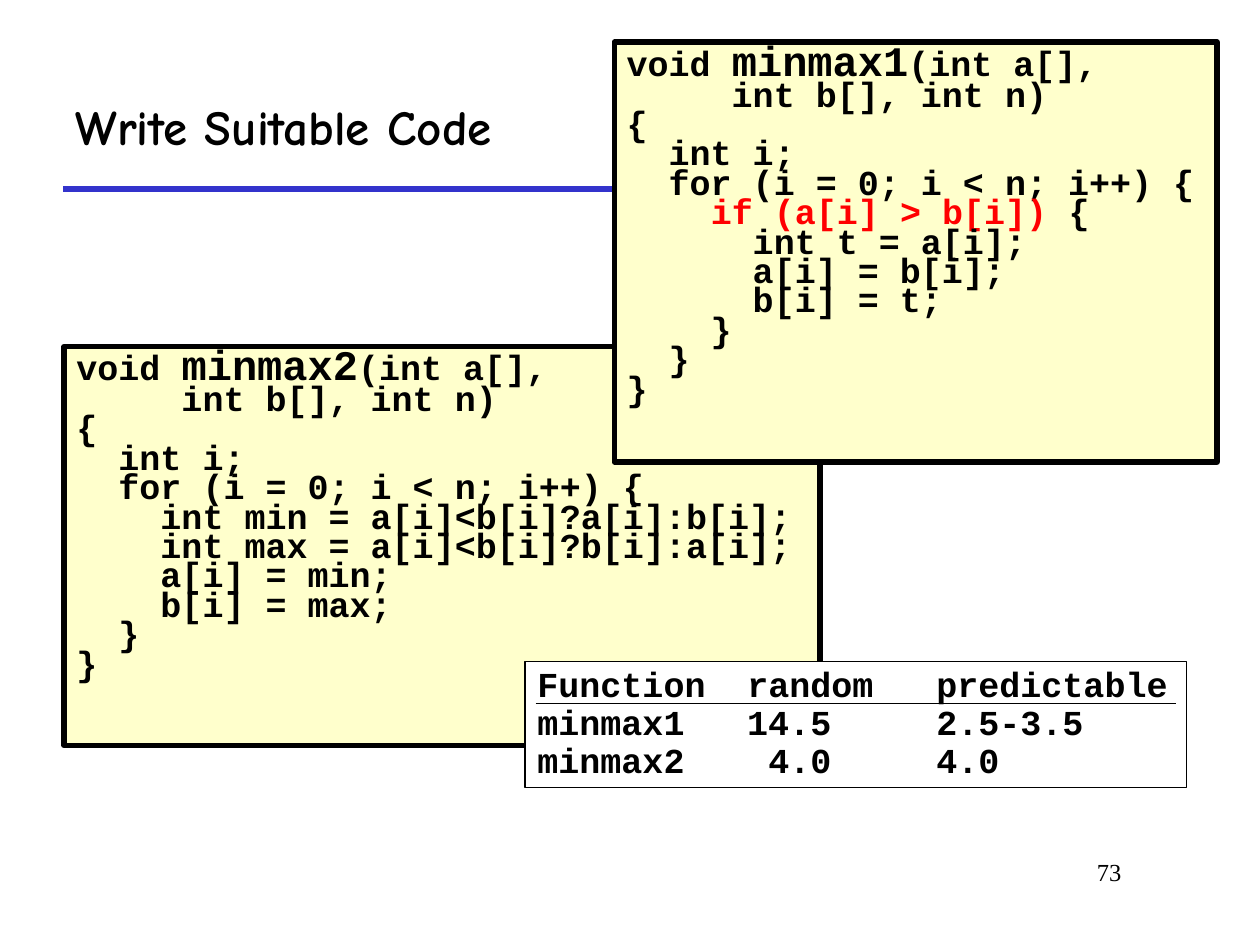
from dataclasses import dataclass

from lxml import etree
from pptx import Presentation
from pptx import util as u
from pptx.dml.color import RGBColor
from pptx.enum import shapes, text
from pptx.oxml.ns import qn

BLACK = RGBColor(0x00, 0x00, 0x00)
WHITE = RGBColor(0xFF, 0xFF, 0xFF)
RED = RGBColor(0xFF, 0x00, 0x00)
BLUE = RGBColor(0x33, 0x33, 0xCC)
CREAM = RGBColor(0xFF, 0xFF, 0xCC)

COLUMN = u.Inches(10) / 120
ROW = u.Inches(7.5) / 90
CHARACTER = 20 * 0.6 / 72  # inches taken by one 20 pt monospace character

CODE = dict(name="Courier New", size=u.Pt(20), bold=True, color=BLACK)
FUNCTION_NAME = CODE | dict(size=u.Pt(24))
HIGHLIGHT = CODE | dict(color=RED)
TITLE = dict(name="Comic Neue", size=u.Pt(28), bold=True, color=BLACK)
NUMBER = dict(name="Times New Roman", size=u.Pt(14), bold=False, color=BLACK)


@dataclass(frozen=True)
class Area:
    """A rectangle in grid columns and rows."""
    left: float
    top: float
    width: float
    height: float

    def lengths(self) -> list[int]:
        return [round(self.left * COLUMN), round(self.top * ROW),
                round(self.width * COLUMN), round(self.height * ROW)]


@dataclass(frozen=True)
class Listing:
    """A C function; the part of its body equal to highlight is red."""
    name: str
    area: Area
    body: tuple[str, ...]
    highlight: str = ""


LISTINGS = (
    Listing("minmax2", Area(6.1, 33, 72, 38), (
        "    int min = a[i]<b[i]?a[i]:b[i];",
        "    int max = a[i]<b[i]?b[i]:a[i];",
        "    a[i] = min;",
        "    b[i] = max;",
    )),
    Listing("minmax1", Area(58.5, 4, 57.4, 40), (
        "    if (a[i] > b[i]) {",
        "      int t = a[i];",
        "      a[i] = b[i];",
        "      b[i] = t;",
        "    }",
    ), "if (a[i] > b[i])"),
)

RESULTS = (
    ("Function", "random", "predictable"),
    ("minmax1", "14.5", "2.5-3.5"),
    ("minmax2", "4.0", "4.0"),
)
# Tab stops as (characters, alignment): the figures end on a common edge
HEADER_TABS = ((10, "l"), (19, "l"))
FIGURE_TABS = ((14, "r"), (19, "l"))


def add_run(paragraph, words: str, style: dict) -> None:
    run = paragraph.add_run()
    run.text = words
    for name, value in style.items():
        if name == "color":
            run.font.color.rgb = value
        else:
            setattr(run.font, name, value)


def set_frame(shape, anchor=text.MSO_ANCHOR.TOP):
    """Give the shape's text frame the common settings and return it."""
    settings = dict(word_wrap=True, vertical_anchor=anchor,
                    auto_size=text.MSO_AUTO_SIZE.NONE)
    for name, value in settings.items():
        setattr(shape.text_frame, name, value)
    return shape.text_frame


def add_paragraph(frame, spacing: float):
    first = frame.paragraphs[0]
    paragraph = frame.add_paragraph() if first.runs else first
    paragraph.alignment = text.PP_ALIGN.LEFT
    paragraph.line_spacing = spacing
    return paragraph


def add_box(parent, area: Area, fill: RGBColor, weight: float):
    shape = parent.add_shape(shapes.MSO_SHAPE.RECTANGLE, *area.lengths())
    shape.shadow.inherit = False
    shape.fill.solid()
    shape.fill.fore_color.rgb = fill
    shape.line.color.rgb = BLACK
    shape.line.width = u.Pt(weight)
    return set_frame(shape)


def add_rule(parent, left: float, right: float, row: float,
             color: RGBColor, weight: float) -> None:
    start, end, height = (round(left * COLUMN), round(right * COLUMN),
                          round(row * ROW))
    rule = parent.add_connector(shapes.MSO_CONNECTOR.STRAIGHT,
                                start, height, end, height)
    rule.line.color.rgb = color
    rule.line.width = u.Pt(weight)
    etree.SubElement(rule._element.spPr, qn("a:effectLst"))


def add_listing(parent, listing: Listing) -> None:
    frame = add_box(parent, listing.area, CREAM, 3)
    signature = add_paragraph(frame, 0.7)
    add_run(signature, "void ", CODE)
    add_run(signature, listing.name, FUNCTION_NAME)
    add_run(signature, "(int a[], ", CODE)
    signature.add_line_break()
    add_run(signature, "     int b[], int n)", CODE)
    lines = ("{", "  int i;", "  for (i = 0; i < n; i++) {",
             *listing.body, "  }", "}")
    for line in lines:
        paragraph = add_paragraph(frame, 0.7)
        if listing.highlight and listing.highlight in line:
            before, marked, after = line.partition(listing.highlight)
            add_run(paragraph, before, CODE)
            add_run(paragraph, marked, HIGHLIGHT)
            add_run(paragraph, after, CODE)
        else:
            add_run(paragraph, line, CODE)


def set_tabs(paragraph, stops: tuple) -> None:
    tabs = etree.SubElement(paragraph._p.get_or_add_pPr(), qn("a:tabLst"))
    for characters, alignment in stops:
        position = u.Inches(characters * CHARACTER)
        etree.SubElement(tabs, qn("a:tab"), pos=str(position), algn=alignment)


def add_results(parent) -> None:
    group = parent.add_group_shape().shapes
    frame = add_box(group, Area(50, 63, 63, 12), WHITE, 0.75)
    for index, cells in enumerate(RESULTS):
        paragraph = add_paragraph(frame, 0.9)
        set_tabs(paragraph, FIGURE_TABS if index else HEADER_TABS)
        add_run(paragraph, "\t".join(cells), CODE)
    add_rule(group, 51, 112, 67, BLACK, 0.25)


def add_title(slide) -> None:
    title = slide.shapes.title
    title.left, title.top, title.width, title.height = Area(
        6, 6, 106, 12).lengths()
    frame = set_frame(title, text.MSO_ANCHOR.MIDDLE)
    add_run(add_paragraph(frame, 1.0), "Write Suitable Code", TITLE)


def add_slide_number(slide) -> None:
    box = slide.shapes.add_textbox(*Area(91, 81, 17, 6).lengths())
    paragraph = add_paragraph(set_frame(box), 1.0)
    paragraph.alignment = text.PP_ALIGN.RIGHT
    add_run(paragraph, "73", NUMBER)


def main() -> None:
    presentation = Presentation()
    presentation.slide_width = u.Inches(10)
    presentation.slide_height = u.Inches(7.5)
    slide = presentation.slides.add_slide(presentation.slide_layouts[5])
    add_title(slide)
    add_rule(slide.shapes, 6, 112, 18, BLUE, 3)
    for listing in LISTINGS:
        add_listing(slide.shapes, listing)
    add_slide_number(slide)
    add_results(slide.shapes)
    presentation.save("out.pptx")


if __name__ == "__main__":
    main()
